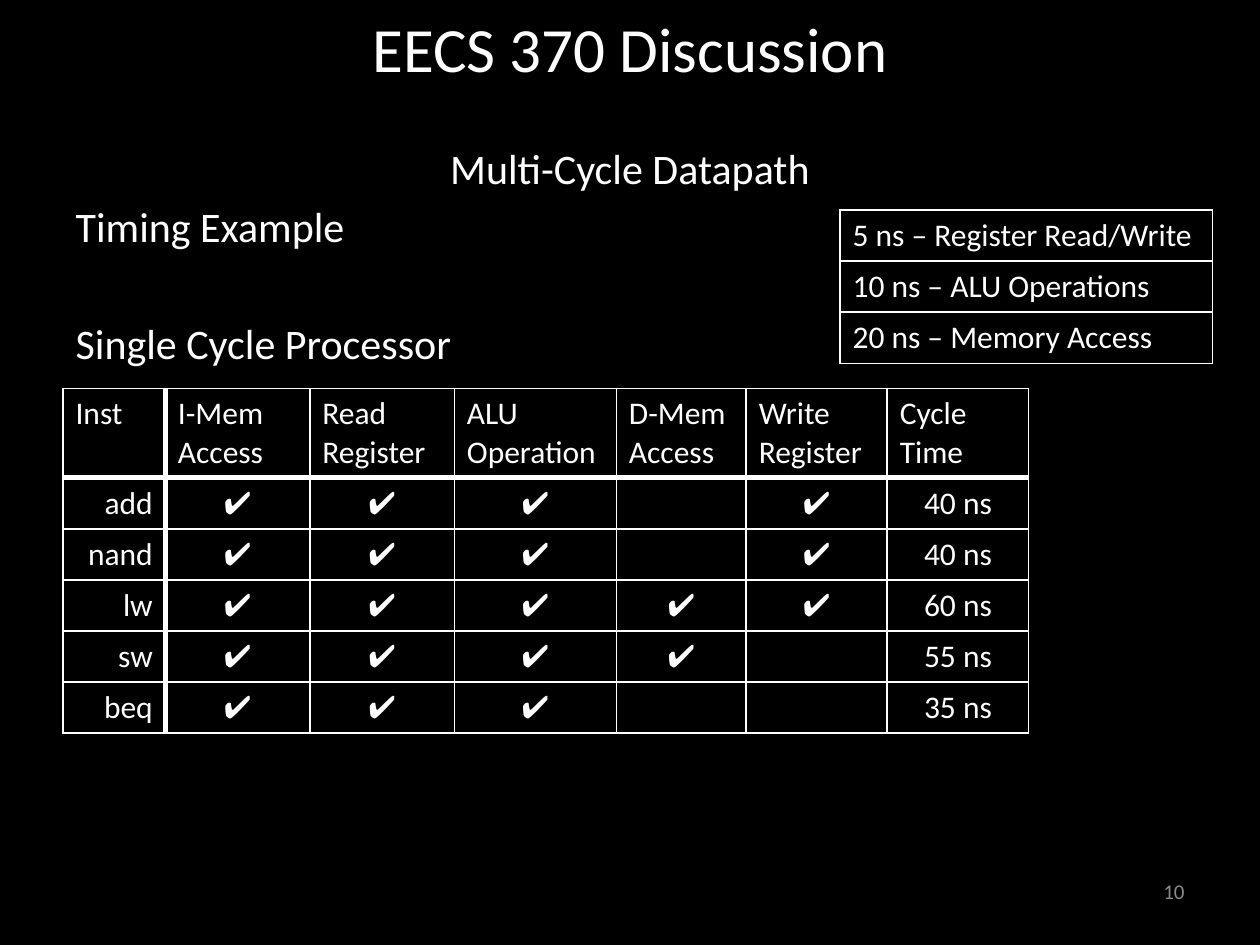
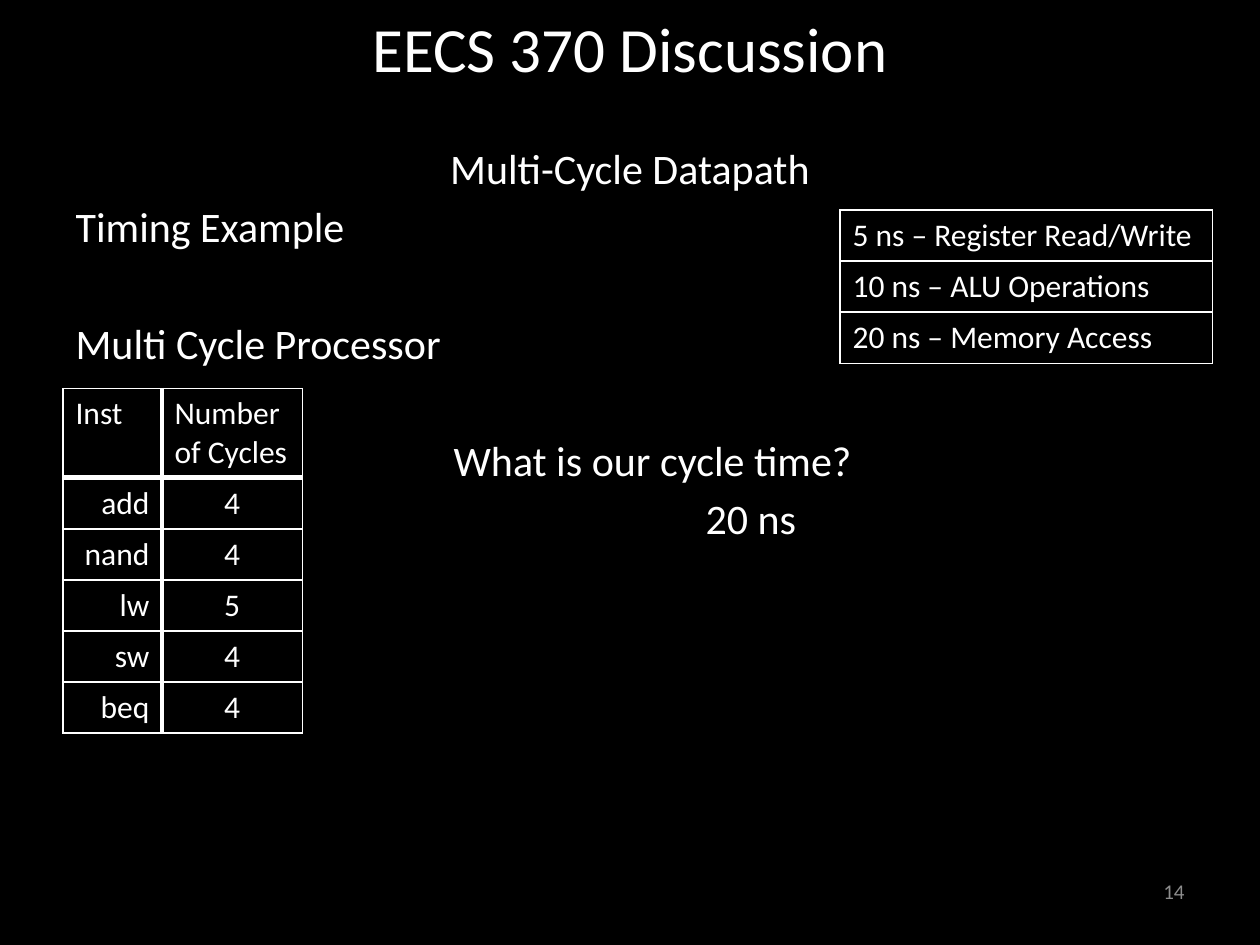
from pptx import Presentation
from pptx.dml.color import RGBColor
from pptx.enum.text import MSO_ANCHOR as Anchor, MSO_AUTO_SIZE as AutoSize, PP_ALIGN as Align
from pptx.oxml import parse_xml
from pptx.oxml.ns import nsdecls
from pptx.util import Pt

BLACK, WHITE, GRAY = "000000", "FFFFFF", "8C8C8C"
FONT = "Calibri"
THIN, THICK = 1, 3
ROW_HEIGHT, HEADER_HEIGHT = 29.2, 51
LINE_SPACE, BLANK_LINE = 4.3, 33.6

TIMINGS = [["5 ns – Register Read/Write"], ["10 ns – ALU Operations"], ["20 ns – Memory Access"]]
SINGLE_CYCLE = [
    ["Inst", "I-Mem Access", "Read Register", "ALU Operation", "D-Mem Access",
     "Write Register", "Cycle Time"],
    ["add", "✔", "✔", "✔", "", "✔", "40 ns"],
    ["nand", "✔", "✔", "✔", "", "✔", "40 ns"],
    ["lw", "✔", "✔", "✔", "✔", "✔", "60 ns"],
    ["sw", "✔", "✔", "✔", "✔", "", "55 ns"],
    ["beq", "✔", "✔", "✔", "", "", "35 ns"],
]
MULTI_CYCLE = [["Inst", "Number of Cycles"], ["add", "4"], ["nand", "4"],
               ["lw", "5"], ["sw", "4"], ["beq", "4"]]
PAGES = [
    {"number": "10", "processor": "Single Cycle Processor", "questions": [],
     "rows": SINGLE_CYCLE, "widths": [58.5, 82.6, 82.6, 92.6, 74.2, 80.6, 80.9]},
    {"number": "14", "processor": "Multi Cycle Processor",
     "questions": [("What is our cycle time?", Align.LEFT, 1, 216), ("20 ns", Align.LEFT, 0, 360)],
     "rows": MULTI_CYCLE, "widths": [56.6, 80.2]},
]


def add_text(para, text, size, color=WHITE, align=Align.LEFT):
    para.alignment = align
    if text:
        span = para.add_run()
        span.text = text
        span.font.name = FONT
        span.font.size = Pt(size)
        span.font.color.rgb = RGBColor.from_string(color)


def add_grid(page, left, top, widths, rows, has_header):
    heights = [HEADER_HEIGHT if has_header and r == 0 else ROW_HEIGHT for r in range(len(rows))]
    frame = page.shapes.add_table(len(rows), len(widths), Pt(left), Pt(top),
                                  Pt(sum(widths)), Pt(sum(heights)))
    table = frame.table
    table.first_row = table.horz_banding = False
    for column, width in zip(table.columns, widths):
        column.width = Pt(width)
    for r, height in enumerate(heights):
        table.rows[r].height = Pt(height)
        for c, text in enumerate(rows[r]):
            cell = table.cell(r, c)
            edges = {
                "L": THICK if has_header and c == 1 else THIN,
                "R": THICK if has_header and c == 0 else THIN,
                "T": THICK if has_header and r == 1 else THIN,
                "B": THICK if has_header and r == 0 else THIN,
            }
            properties = cell._tc.get_or_add_tcPr()
            for side, weight in edges.items():
                properties.append(parse_xml(
                    f'<a:ln{side} {nsdecls("a")} w="{Pt(weight)}"><a:solidFill>'
                    f'<a:srgbClr val="{WHITE}"/></a:solidFill></a:ln{side}>'))
            cell.fill.solid()
            cell.fill.fore_color.rgb = RGBColor.from_string(BLACK)
            if not has_header or r == 0:
                align = Align.LEFT
            else:
                align = Align.RIGHT if c == 0 else Align.CENTER
            add_text(cell.text_frame.paragraphs[0], text, 18, align=align)


deck = Presentation()
deck.slide_width, deck.slide_height = Pt(720), Pt(540)
background = deck.slide_master.background.fill
background.solid()
background.fore_color.rgb = RGBColor.from_string(BLACK)

for content in PAGES:
    page = deck.slides.add_slide(deck.slide_layouts[1])

    title = page.shapes.title
    title.left, title.top, title.width, title.height = Pt(36), Pt(-18), Pt(648), Pt(90)
    title.text_frame.vertical_anchor = Anchor.MIDDLE
    add_text(title.text_frame.paragraphs[0], "EECS 370 Discussion", 36, align=Align.CENTER)

    body = page.placeholders[1]
    body.left, body.top, body.width, body.height = Pt(36), Pt(78), Pt(648), Pt(426)
    body.text_frame.auto_size = AutoSize.NONE
    lines = [
        ("Multi-Cycle Datapath", Align.CENTER, 0, 0),
        ("Timing Example", Align.LEFT, 0, 0),
        (content["processor"], Align.LEFT, 1, 0),
    ] + content["questions"]
    for i, (text, align, blanks, indent) in enumerate(lines):
        para = body.text_frame.add_paragraph() if i else body.text_frame.paragraphs[0]
        add_text(para, text, 24, align=align)
        para.space_before = Pt(LINE_SPACE + blanks * BLANK_LINE)
        properties = para._p.get_or_add_pPr()
        properties.set("marL", str(Pt(indent)))
        properties.set("indent", "0")
        properties.append(parse_xml(f'<a:buNone {nsdecls("a")}/>'))

    number = page.shapes.add_textbox(Pt(516), Pt(494.6), Pt(168), Pt(28.8))
    number.text_frame.word_wrap = True
    number.text_frame.vertical_anchor = Anchor.MIDDLE
    add_text(number.text_frame.paragraphs[0], content["number"], 12, GRAY, Align.RIGHT)

    add_grid(page, 480, 120, [213], TIMINGS, False)
    add_grid(page, 36, 222, content["widths"], content["rows"], True)

deck.save("out.pptx")
